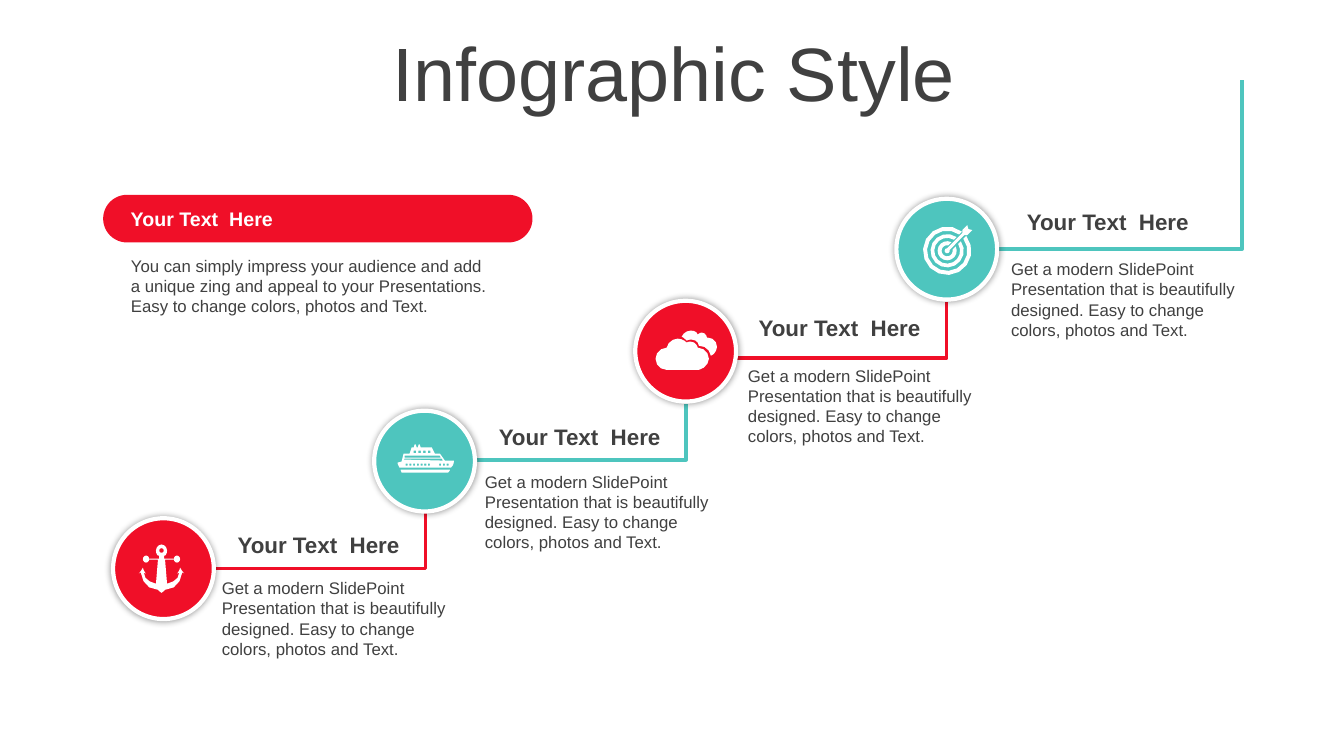
import math
from dataclasses import dataclass

import pptx
import pptx.util
import pptx.dml.color
import pptx.enum.shapes
import pptx.enum.text
import pptx.oxml
import pptx.oxml.ns
from pptx.util import Cm, Pt

Point = tuple[float, float]
Loop = list[Point]


@dataclass(frozen=True)
class Theme:
    font: str = "Arial"
    ink: str = "404040"
    white: str = "FFFFFF"
    red: str = "F00F28"
    teal: str = "4EC5BE"
    title: int = 54
    head: int = 16
    label: int = 14
    body: int = 12


@dataclass(frozen=True)
class Step:
    top: float      # circle top
    hue: str
    head: Point     # left and top of the heading
    start: Point    # ends of the elbow line
    end: Point
    icon: list[Loop]
    spot: Point     # origin of the icon


LOOK = Theme()
SIZE = 2.54
HEAD = "Your Text  Here"
BODY = ("Get a modern SlidePoint Presentation that is beautifully designed. "
        "Easy to change colors, photos and Text.")
INTRO = ("You can simply impress your audience and add a unique zing and appeal "
         "to your Presentations. Easy to change colors, photos and Text.")


# Outlines, in hundredths of an inch
def trace(start: Point, *moves: tuple[float, ...]) -> Loop:
    """Two numbers make a line, six a Bezier curve."""
    loop = [start]
    for move in moves:
        if len(move) == 2:
            loop.append(move)
            continue
        x0, y0 = loop[-1]
        x1, y1, x2, y2, x3, y3 = move
        for k in range(1, 4):
            t = k / 3
            a, b, c, d = (1 - t) ** 3, 3 * t * (1 - t) ** 2, 3 * t * t * (1 - t), t ** 3
            loop.append((a * x0 + b * x1 + c * x2 + d * x3,
                         a * y0 + b * y1 + c * y2 + d * y3))
    return loop


def arc(r: float, a: float, b: float, y: float = 0, count: int = 14) -> Loop:
    turns = [math.radians(a + (b - a) * k / count) for k in range(count + 1)]
    return [(r * math.cos(t), y + r * math.sin(t)) for t in turns]


def ring(outer: float, inner: float, gap: float = 3) -> Loop:
    """Ring with a slot for the arrow at the upper right."""
    a, b = (math.degrees(math.asin(gap / r)) for r in (outer, inner))
    return arc(outer, a - 45, 315 - a) + arc(inner, 315 - b, b - 45)


def box(x: float, y: float, w: float, h: float) -> Loop:
    return [(x, y), (x, y + h), (x + w, y + h), (x + w, y)]


def anchor() -> list[Loop]:
    half = trace(
        (0, 0), (3, 0, 5.5, 3, 5.5, 6), (5.5, 8, 5, 10, 3.5, 11), (2.5, 11), (2.5, 14),
        (12.5, 14), (12.5, 13), (13, 12, 14, 11, 15.5, 11), (17, 11, 18.5, 13, 18.5, 14.5),
        (18.5, 16, 17, 18, 15.5, 18), (14, 18, 13, 17, 12.5, 16), (12.5, 15), (3.5, 15),
        (5.5, 39), (12.5, 37, 17.5, 34, 17.5, 28), (17, 28, 16, 28.5, 15.5, 29),
        (17, 27, 18, 25, 18.5, 23), (19.5, 25, 21, 27, 22.5, 29), (22, 28, 21, 28, 20.5, 28),
        (19.5, 37, 13.5, 45, 3.5, 45), (2, 47, 1, 47, 0, 48))
    return [half + [(-x, y) for x, y in reversed(half[1:-1])], arc(2.3, 0, 330, 6, 11)]


def ship() -> list[Loop]:
    hull = trace(
        (21, 0), (22, 0), (23, 3), (34, 3), (37, 9), (42, 9), (47, 16), (56, 16),
        (56, 19, 55, 21, 53, 23), (2, 23), (1, 21, 0, 20, 0, 18), (4, 17), (6, 9), (12, 9),
        (14, 3), (16, 3), (17, 0), (18, 0), (19, 3), (20, 3))
    keel = trace((3, 25), (52, 25), (52, 26, 51, 27, 50, 28), (4, 28), (4, 27, 3, 26, 3, 25))
    bands = [[(7, 14), (6, 15), (45, 16), (44, 14)], [(7, 11), (7, 13), (43, 13), (42, 11)]]
    panes = [box(16 + 4.7 * k, 6, 2.5, 2.5) for k in range(4)]
    ports = [box(8 + 3.7 * k, 19, 2, 2) for k in (*range(7), 9, 10, 11)]
    return [hull, keel, *bands, *panes, *ports]


def clouds() -> list[Loop]:
    front = trace(
        (22, 8), (26, 8, 29, 10, 31, 12), (32, 11, 33, 11, 35, 11), (39, 11, 41, 14, 42, 17),
        (48, 17, 53, 22, 53, 28), (53, 33, 48, 38, 43, 39), (11, 39), (5, 39, 0, 34, 0, 28),
        (0, 22, 5, 17, 11, 17), (12, 12, 17, 8, 22, 8))
    back = trace(
        (35, 0), (38, 0, 41, 1, 42, 4), (43, 3, 44, 2, 46, 2), (49, 2, 51, 5, 51, 7), (52, 7),
        (57, 7, 61, 11, 61, 16), (61, 20, 58, 24, 55, 25), (54, 19, 49, 15, 43, 15),
        (43, 12, 40, 9, 36, 9), (34, 9, 32, 9, 31, 10), (30, 9, 28, 7, 26, 6),
        (27, 3, 31, 0, 35, 0))
    return [front, back]


def target() -> list[Loop]:
    arrow = arc(2.5, -18, 270, count=9) + [(15, -17.5), (15, -20.5), (20, -25.5), (21, -21.5),
                                           (25, -20.5), (20, -15.5), (17, -15.5)]
    return [ring(24, 20), ring(16.5, 12.8), ring(9.5, 5.5), arrow]


# Drawing
def tint(hue: str) -> pptx.dml.color.RGBColor:
    return pptx.dml.color.RGBColor.from_string(hue)


def paint(shape, hue: str) -> None:
    shape.shadow.inherit = False
    shape.fill.solid()
    shape.fill.fore_color.rgb = tint(hue)
    shape.line.fill.background()


def write(frame, text: str, size: int, hue: str = LOOK.ink, bold: bool = False):
    frame.word_wrap = True
    para = frame.paragraphs[0]
    run = para.add_run()
    run.text = text
    run.font.name, run.font.size, run.font.bold = LOOK.font, Pt(size), bold
    run.font.color.rgb = tint(hue)
    return para


def note(shapes, x: float, y: float, w: float, h: float, text: str, size: int,
         bold: bool = False) -> None:
    frame = shapes.add_textbox(Cm(x), Cm(y), Cm(w), Cm(h)).text_frame
    write(frame, text, size, bold=bold)
    frame.auto_size = pptx.enum.text.MSO_AUTO_SIZE.SHAPE_TO_FIT_TEXT


def disc(shapes, x: float, y: float, hue: str) -> None:
    shape = shapes.add_shape(pptx.enum.shapes.MSO_SHAPE.OVAL, Cm(x), Cm(y), Cm(SIZE), Cm(SIZE))
    paint(shape, hue)
    shape.line.color.rgb = tint(LOOK.white)
    shape.line.width = Pt(3)
    glow = pptx.oxml.parse_xml(
        f'<a:outerShdw {pptx.oxml.ns.nsdecls("a")} blurRad="{Pt(5)}" dist="0" algn="ctr" '
        'rotWithShape="0"><a:srgbClr val="000000"><a:alpha val="40000"/></a:srgbClr>'
        '</a:outerShdw>')
    shape.element.spPr.find(pptx.oxml.ns.qn("a:effectLst")).append(glow)


def elbow(shapes, start: Point, end: Point, hue: str) -> None:
    line = shapes.add_connector(pptx.enum.shapes.MSO_CONNECTOR.ELBOW,
                                *(Cm(v) for v in (*start, *end)))
    line.line.color.rgb = tint(hue)
    line.line.width = Pt(2.5)
    props = line.element.spPr
    props.append(pptx.oxml.parse_xml(f'<a:effectLst {pptx.oxml.ns.nsdecls("a")}/>'))
    guide = pptx.oxml.parse_xml(
        f'<a:gd {pptx.oxml.ns.nsdecls("a")} name="adj1" fmla="val 100000"/>')
    props.find(".//" + pptx.oxml.ns.qn("a:avLst")).append(guide)


def glyph(shapes, loops: list[Loop], spot: Point) -> None:
    loops = [[(x * 100, y * 100) for x, y in loop] for loop in loops]
    pen = shapes.build_freeform(*loops[0][0], scale=Cm(SIZE) / 10000)
    for k, loop in enumerate(loops):
        if k:
            pen.move_to(*loop[0])
        pen.add_line_segments(loop[1:], close=True)
    paint(pen.convert_to_shape(Cm(spot[0]), Cm(spot[1])), LOOK.white)


def main() -> None:
    deck = pptx.Presentation()
    deck.slide_width, deck.slide_height = Cm(33.87), Cm(19.05)
    slide = deck.slides.add_slide(deck.slide_layouts[5])
    shapes = slide.shapes

    # Title
    title = shapes.title
    title.left, title.top, title.width, title.height = Cm(0.9), Cm(0.94), Cm(32.16), Cm(2.01)
    title.text_frame.vertical_anchor = pptx.enum.text.MSO_ANCHOR.MIDDLE
    para = write(title.text_frame, "Infographic Style", LOOK.title)
    para.alignment = pptx.enum.text.PP_ALIGN.CENTER
    para.line_spacing = 0.9

    # Intro
    pill = shapes.add_shape(pptx.enum.shapes.MSO_SHAPE.ROUNDED_RECTANGLE,
                            Cm(2.6), Cm(4.91), Cm(10.82), Cm(1.2))
    pill.adjustments[0] = 0.5
    paint(pill, LOOK.red)
    pill.text_frame.margin_left = Cm(0.52)
    pill.text_frame.vertical_anchor = pptx.enum.text.MSO_ANCHOR.MIDDLE
    para = write(pill.text_frame, HEAD, LOOK.label, LOOK.white, True)
    para.alignment = pptx.enum.text.PP_ALIGN.LEFT
    note(shapes, 3.05, 6.32, 9.68, 1.8, INTRO, LOOK.body)

    # Stairs
    red, teal = LOOK.red, LOOK.teal
    steps = [
        Step(13.06, red, (5.74, 13.26), (5.41, 14.33), (10.73, 12.93), anchor(), (4.07, 13.72)),
        Step(10.35, teal, (12.32, 10.54), (11.96, 11.59), (17.29, 10.19), ship(), (10.02, 11.2)),
        Step(7.58, red, (18.87, 7.8), (18.54, 9.02), (23.86, 7.62), clouds(), (16.52, 8.33)),
        Step(5.01, teal, (25.63, 5.11), (25.12, 6.28), (31.3, 2.03), target(), (23.87, 6.32)),
    ]
    for step in steps:
        elbow(shapes, step.start, step.end, step.hue)
    for k, step in enumerate(steps):
        disc(shapes, 2.85 + 6.58 * k, step.top, step.hue)
        glyph(shapes, step.icon, step.spot)
        note(shapes, *step.head, 4.98, 0.94, HEAD, LOOK.head, True)
        note(shapes, 5.34 + 6.63 * k, 14.44 - 2.68 * k, 6.2, 2.31, BODY, LOOK.body)

    deck.save("out.pptx")


if __name__ == "__main__":
    main()
